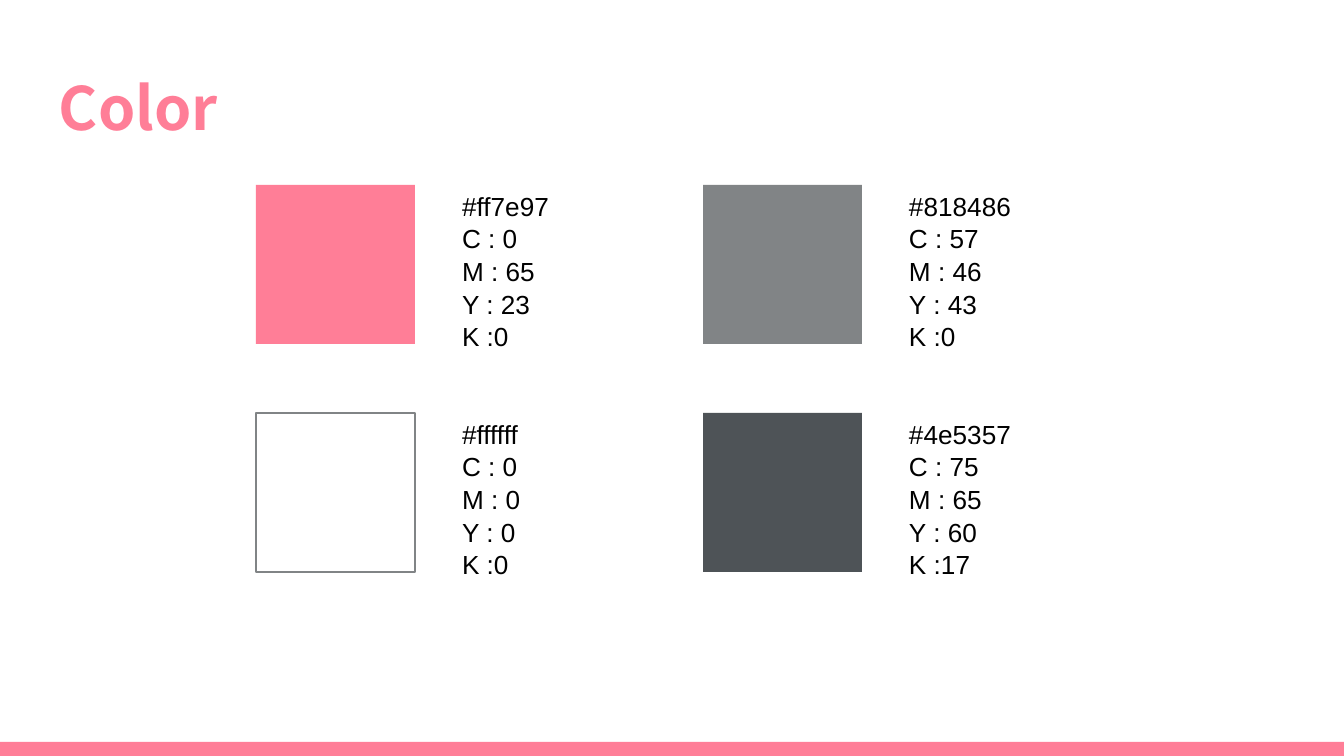
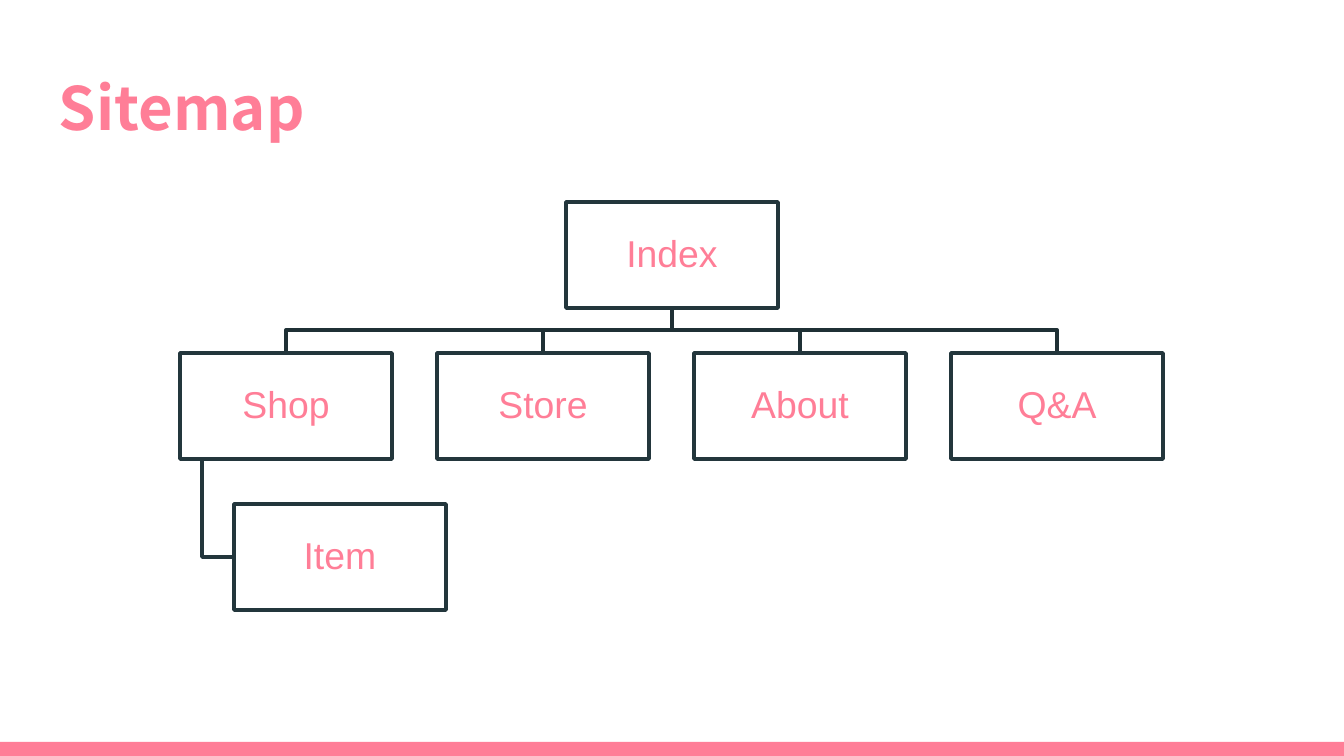
from pptx import Presentation
from pptx.dml.color import RGBColor
from pptx.enum.shapes import MSO_SHAPE
from pptx.enum.text import MSO_ANCHOR, PP_ALIGN
from pptx.util import Pt

RECTANGLE = MSO_SHAPE.RECTANGLE
LEFT, CENTER = PP_ALIGN.LEFT, PP_ALIGN.CENTER
TOP, MIDDLE = MSO_ANCHOR.TOP, MSO_ANCHOR.MIDDLE

PX = 9144000 / 1344  # EMU per px
WIDTH, HEIGHT = 1344, 756
PINK, GRAY, SLATE, WHITE, BLACK = "FF7E97", "818486", "4E5357", "FFFFFF", "000000"
NODE_LINE, BRANCH_LINE = "23363C", "1F3035"
BODY_FONT, TITLE_FONT = "Arial", "Noto Sans CJK SC"

color = RGBColor.from_string


def write(shape, text, size, ink=BLACK, font=BODY_FONT, bold=False,
          align=LEFT, anchor=TOP, inset=13, spacing=1.0):
    """Fill a shape with text, one paragraph per line."""
    frame = shape.text_frame
    frame.word_wrap = True
    frame.vertical_anchor = anchor
    frame.margin_left = frame.margin_right = round(inset * PX)
    frame.margin_top = frame.margin_bottom = round(inset * PX)
    frame.text = text
    for paragraph in frame.paragraphs:
        paragraph.alignment = align
        paragraph.line_spacing = spacing
        paragraph.font.size = Pt(size)
        paragraph.font.name = font
        paragraph.font.bold = bold
        paragraph.font.color.rgb = color(ink)


def box(slide, bounds, fill, line=None, weight=1):
    """Draw a rectangle, with an outline only when a line colour is given."""
    shape = slide.shapes.add_shape(RECTANGLE, *[round(v * PX) for v in bounds])
    shape.shadow.inherit = False
    shape.fill.solid()
    shape.fill.fore_color.rgb = color(fill)
    if line:
        shape.line.color.rgb = color(line)
        shape.line.width = Pt(weight)
    else:
        shape.line.fill.background()
    return shape


prs = Presentation()
prs.slide_width, prs.slide_height = round(WIDTH * PX), round(HEIGHT * PX)

# Shared title and bottom band
pages = []
for heading in ("Color", "Sitemap"):
    page = prs.slides.add_slide(prs.slide_layouts[6])
    box(page, (0, 742, WIDTH, 14), PINK)
    title = page.shapes.add_textbox(*[round(v * PX) for v in (46, 58, 1252, 91)])
    write(title, heading, 32, ink=PINK, font=TITLE_FONT, bold=True)
    pages.append(page)
palette_page, sitemap_page = pages

# Color: swatches in two columns, each with its hex and CMYK values
swatches = [
    (PINK, None, (0, 65, 23, 0)),
    (GRAY, None, (57, 46, 43, 0)),
    (WHITE, GRAY, (0, 0, 0, 0)),
    (SLATE, None, (75, 65, 60, 17)),
]
for index, (swatch, outline, (c, m, y, k)) in enumerate(swatches):
    row, column = divmod(index, 2)
    left, top = 256 + 447 * column, 185 + 228 * row
    box(palette_page, (left, top, 159, 159), swatch, outline, 0.75)
    values = palette_page.shapes.add_textbox(
        *[round(v * PX) for v in (left + 193, top - 9, 192, 177)])
    write(values, f"#{swatch.lower()}\nC : {c}\nM : {m}\nY : {y}\nK :{k}", 14,
          spacing=1.04)

# Sitemap: node grid
NODE_W, NODE_H = 212, 106
INDEX_TOP, SECTION_TOP, ITEM_TOP = 202, 353, 504
INDEX_LEFT, SECTION_LEFT, ITEM_LEFT = 566, 180, 234
SECTION_STEP = 257
nodes = [("Index", INDEX_LEFT, INDEX_TOP), ("Item", ITEM_LEFT, ITEM_TOP)]

# Branches from Index to each section, and from Shop to Item
trunk_x, trunk_y, bus_y = INDEX_LEFT + NODE_W // 2, INDEX_TOP + NODE_H, 330
branches = []
for index, section in enumerate(("Shop", "Store", "About", "Q&A")):
    left = SECTION_LEFT + SECTION_STEP * index
    middle = left + NODE_W // 2
    nodes.append((section, left, SECTION_TOP))
    branches.append((BRANCH_LINE, [(trunk_x, trunk_y), (trunk_x, bus_y),
                                   (middle, bus_y), (middle, SECTION_TOP)]))
item_y = ITEM_TOP + NODE_H // 2
branches.append((NODE_LINE, [(202, SECTION_TOP + NODE_H), (202, item_y),
                             (ITEM_LEFT, item_y)]))
for ink, (start, *bends) in branches:
    builder = sitemap_page.shapes.build_freeform(*start, scale=PX)
    builder.add_line_segments(bends, close=False)
    branch = builder.convert_to_shape()
    branch.shadow.inherit = False
    branch.fill.background()
    branch.line.color.rgb = color(ink)
    branch.line.width = Pt(2)

# Nodes over the branches
for label, left, top in nodes:
    node = box(sitemap_page, (left, top, NODE_W, NODE_H), WHITE, NODE_LINE, 2)
    write(node, label, 20, ink=PINK, align=CENTER, anchor=MIDDLE, inset=1,
          spacing=0.9)

prs.save("out.pptx")
